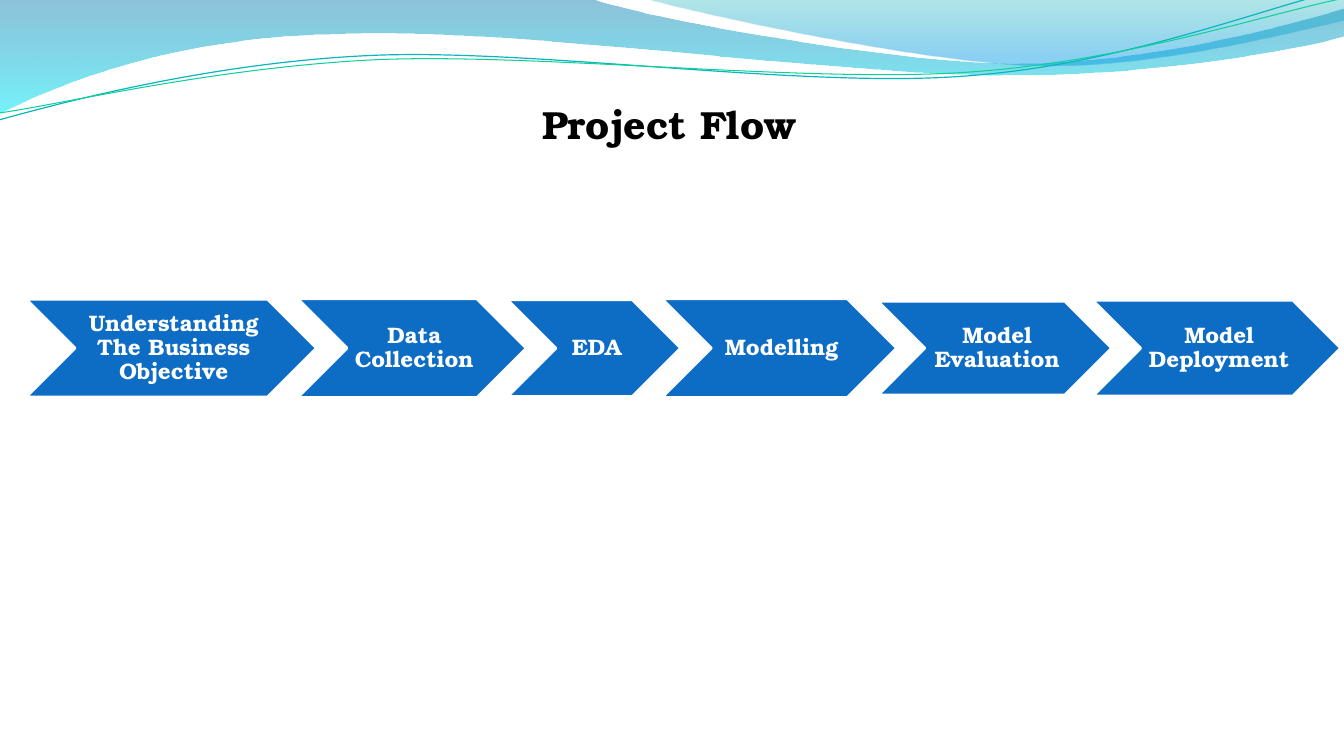
from dataclasses import dataclass

from lxml import etree
from pptx import Presentation
from pptx.dml.color import RGBColor
from pptx.enum.shapes import MSO_SHAPE
from pptx.enum.text import MSO_ANCHOR, MSO_AUTO_SIZE, PP_ALIGN
from pptx.oxml.ns import qn
from pptx.util import Pt

CHEVRON = MSO_SHAPE.CHEVRON
TOP, MIDDLE = MSO_ANCHOR.TOP, MSO_ANCHOR.MIDDLE
CENTER = PP_ALIGN.CENTER
NO_AUTOFIT = MSO_AUTO_SIZE.NONE
TITLE_ONLY = 5


@dataclass(frozen=True)
class Theme:
    """Colours, font and sizes of the slide; gradient stops are (%, colour, opacity %)."""
    font: str = "TeX Gyre Bonum"
    title_size: float = 28
    step_size: float = 16
    title: str = "000000"
    step_text: str = "FFFFFF"
    step_fill: str = "0D6DC5"
    step_line: str = "FFFFFF"
    teal_line: str = "09B6BE"
    green_line: str = "10CF9B"
    wide_wave: tuple = ((0, "0079AD", 45), (100, "00E9F7", 55))
    right_wave: tuple = ((0, "00ABB4", 30), (80, "0099E4", 45), (100, "0099E4", 45))


THEME = Theme()

# Each outline: start point, then 2 numbers for a line or 6 for a Bezier curve.
WIDE_WAVE = [
    (0, 0), (422.6, -0.7),
    (456.5, 12.2, 637.2, 45.4, 727.9, 45.4), (819.4, 45.4, 920.2, 18.7, 959.8, 6.5),
    (961.2, 25.9),
    (943.9, 31.7, 835.2, 54.7, 715.7, 54), (596.9, 54, 366.5, 20.2, 247, 24.5),
    (123.8, 25.9, 43.9, 59.8, -0.7, 81.4), (0, 0),
]
RIGHT_WAVE = [
    (460.1, -0.7),
    (488.9, 7.9, 654.5, 44.6, 738, 46.8), (821.5, 49.7, 923, 23, 959.8, 15.1),
    (959.8, 0), (460.1, -0.7),
]
TEAL_LINE = [
    (-0.7, 85.7), (46.1, 72.7, 151.9, 44.6, 265.7, 39.6),
    (379.4, 34.6, 568.8, 62.6, 684, 54.7), (799.2, 47.5, 901.4, 5.8, 958.3, -7.2),
]
GREEN_LINE = [
    (0, 80.6), (45.4, 74.2, 157, 47.5, 272.2, 42.5),
    (386.6, 38.2, 573.1, 59, 687.6, 51.8), (802.8, 44.6, 903.6, 10.1, 960.5, -1.4),
]

# Label, width, height
STEPS = [
    ("Understanding The Business Objective", 207.4, 69.8),
    ("Data Collection", 163.4, 70.6),
    ("EDA", 123.8, 69.1),
    ("Modelling", 167.8, 70.6),
    ("Model Evaluation", 167, 67),
    ("Model Deployment", 177.1, 68.4),
]
STEP_OVERLAP = 13.5


def rgb(colour):
    """Turn a hex string into a colour."""
    return RGBColor.from_string(colour)


def add_outline(slide, left, top, outline, closed):
    """Draw lines and Bezier curves relative to the given corner."""
    points = [(Pt(left + x), Pt(top + y))
              for segment in outline for x, y in zip(segment[::2], segment[1::2])]
    builder = slide.shapes.build_freeform(*points[0], scale=1.0)
    builder.add_line_segments(points[1:], close=closed)
    shape = builder.convert_to_shape()
    shape.shadow.inherit = False
    bend_curves(shape, outline)
    return shape


def bend_curves(shape, outline):
    """Join the three straight legs of each six-number segment into one curve."""
    legs = iter(list(shape.element.iter(qn("a:lnTo"))))
    for segment in outline[1:]:
        parts = [next(legs) for _ in range(len(segment) // 2)]
        if len(parts) == 1:
            continue
        curve = etree.Element(qn("a:cubicBezTo"))
        parts[0].addprevious(curve)
        for part in parts:
            curve.append(part[0])
            part.getparent().remove(part)


def fade_down(shape, stops):
    """Fill a shape with a translucent gradient from top to bottom."""
    shape.fill.gradient()
    gradient = shape.element.spPr.find(qn("a:gradFill"))
    for child in list(gradient):
        gradient.remove(child)
    stop_list = etree.SubElement(gradient, qn("a:gsLst"))
    for position, colour, opacity in stops:
        stop = etree.SubElement(stop_list, qn("a:gs"), pos=str(position * 1000))
        value = etree.SubElement(stop, qn("a:srgbClr"), val=colour)
        etree.SubElement(value, qn("a:alpha"), val=str(opacity * 1000))
    etree.SubElement(gradient, qn("a:lin"), ang="5400000", scaled="0")


def add_header_waves(slide, left, top):
    """Draw the waves and thin lines along the top edge."""
    for outline, stops in ((WIDE_WAVE, THEME.wide_wave), (RIGHT_WAVE, THEME.right_wave)):
        wave = add_outline(slide, left, top, outline, True)
        fade_down(wave, stops)
        wave.line.fill.background()
    for outline, colour, width in ((TEAL_LINE, THEME.teal_line, 0.85),
                                   (GREEN_LINE, THEME.green_line, 0.75)):
        thread = add_outline(slide, left, top, outline, False)
        thread.fill.background()
        thread.line.color.rgb = rgb(colour)
        thread.line.width = Pt(width)


def set_text(shape, text, size, colour, anchor, margins):
    """Write centred bold text; margins are left, top, right, bottom."""
    frame = shape.text_frame
    frame.text = text
    frame.word_wrap = True
    frame.auto_size = NO_AUTOFIT
    frame.vertical_anchor = anchor
    (frame.margin_left, frame.margin_top,
     frame.margin_right, frame.margin_bottom) = map(Pt, margins)
    paragraph = frame.paragraphs[0]
    paragraph.alignment = CENTER
    font = paragraph.runs[0].font
    font.name, font.size, font.bold = THEME.font, Pt(size), True
    font.color.rgb = rgb(colour)
    return paragraph


def add_title(slide, left, top, width, height):
    """Place the slide title in its box."""
    title = slide.shapes.title
    title.left, title.top, title.width, title.height = map(Pt, (left, top, width, height))
    paragraph = set_text(title, "Project Flow", THEME.title_size, THEME.title,
                         TOP, (7.2, 3.6, 7.2, 3.6))
    paragraph.line_spacing = 1.0
    paragraph.space_before = Pt(0)


def add_project_flow(slide, left, middle):
    """Chain the project steps to the right, centred on one height."""
    for label, width, height in STEPS:
        step = slide.shapes.add_shape(
            CHEVRON, Pt(left), Pt(middle - height / 2), Pt(width), Pt(height))
        step.shadow.inherit = False
        step.fill.solid()
        step.fill.fore_color.rgb = rgb(THEME.step_fill)
        step.line.color.rgb = rgb(THEME.step_line)
        step.line.width = Pt(2)
        paragraph = set_text(step, label, THEME.step_size, THEME.step_text,
                             MIDDLE, (5, 1.6, 1.6, 1.6))
        paragraph.line_spacing = 0.9
        left += width - STEP_OVERLAP


def main():
    """Build and save the slide."""
    deck = Presentation()
    deck.slide_width, deck.slide_height = Pt(960), Pt(540)
    slide = deck.slides.add_slide(deck.slide_layouts[TITLE_ONLY])
    add_header_waves(slide, 0, 0)
    add_title(slide, 18.7, 67.7, 918, 74.9)
    add_project_flow(slide, 18.7, 248.7)
    deck.save("out.pptx")


main()
